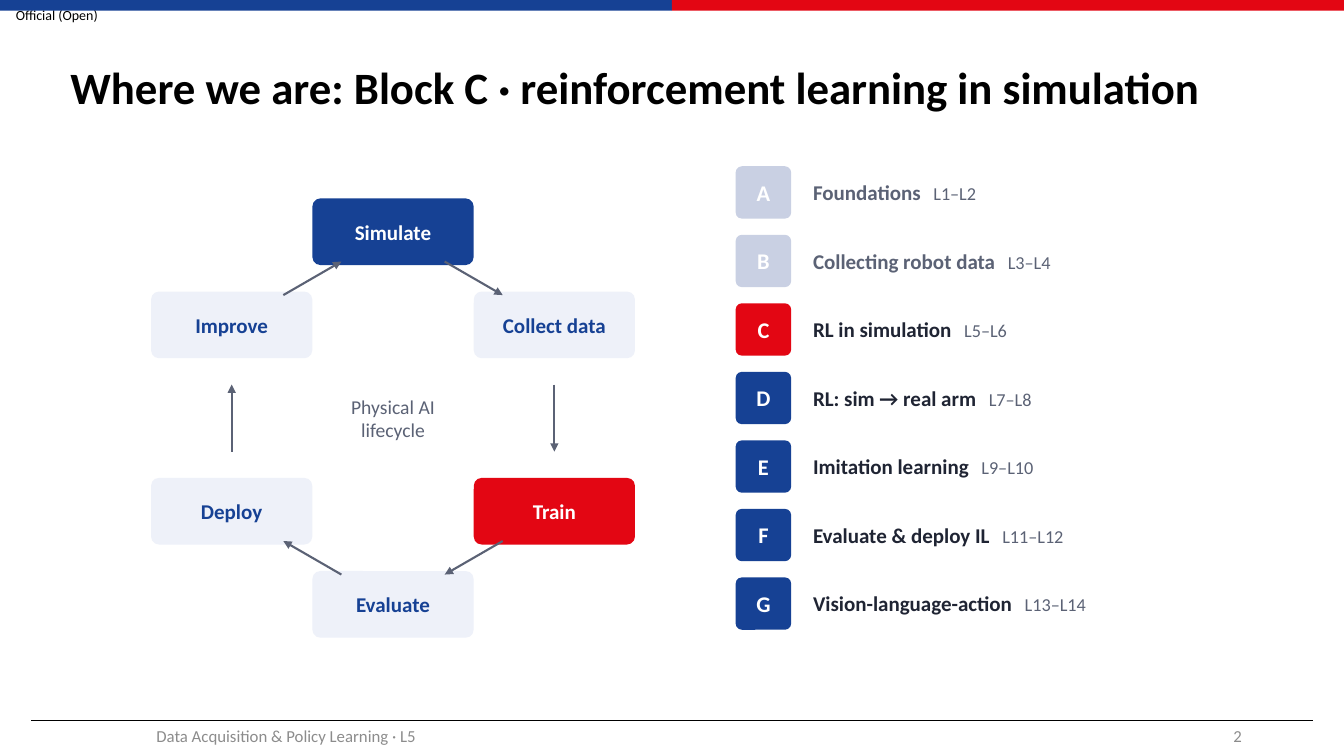
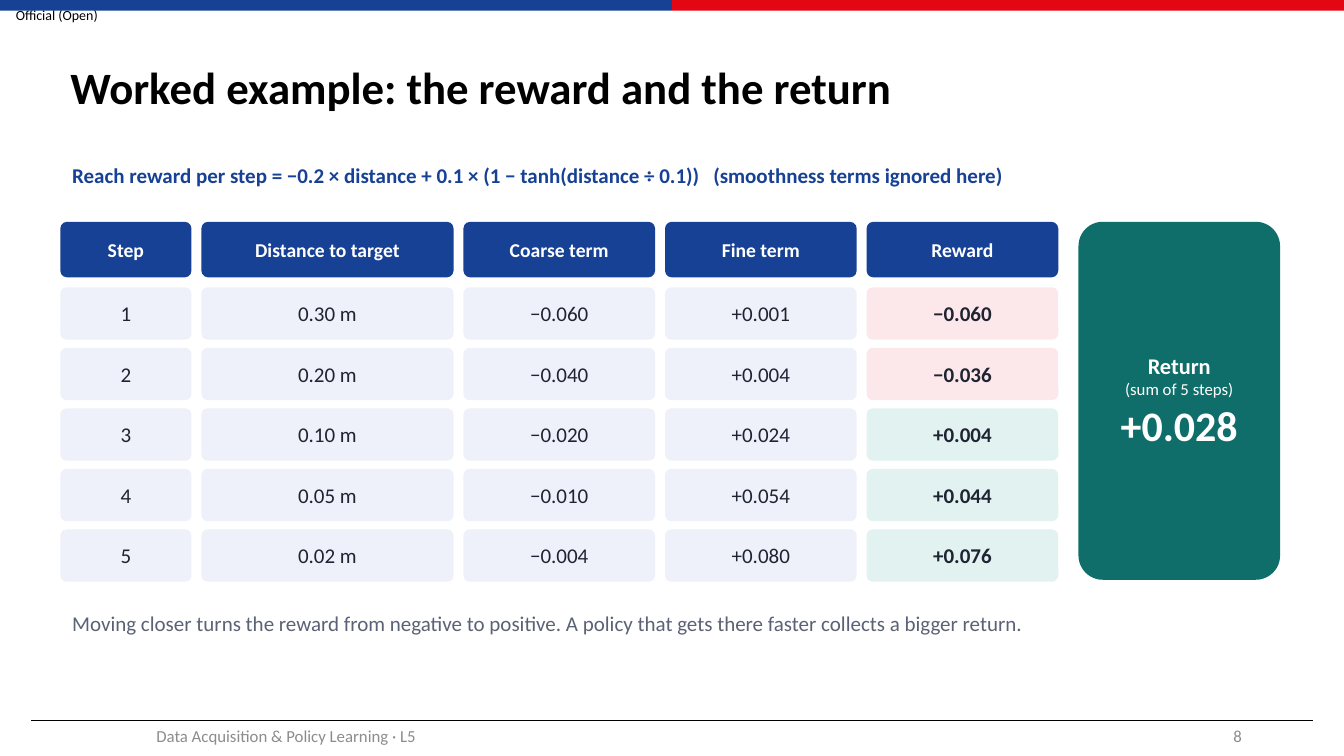
from itertools import accumulate
from math import cos, radians, sin

from lxml.etree import SubElement
from pptx import Presentation
from pptx.dml.color import RGBColor as RGB
from pptx.enum.shapes import MSO_CONNECTOR as LINE, MSO_SHAPE as SHAPE
from pptx.enum.text import MSO_ANCHOR as ANCHOR, MSO_AUTO_SIZE as AUTO, PP_ALIGN as ALIGN
from pptx.oxml.ns import qn
from pptx.util import Cm, Pt

FONT = "Calibri"
W, H = 33.87, 19.05
C = {
    "blue": "164194", "red": "E30613", "teal": "0F6E6A",
    "pale": "EEF1F9", "faded": "C9D0E3", "pink": "FCE8EA", "mint": "E2F2F1",
    "ink": "1F2433", "slate": "5B6275", "grey": "8C8C8C",
    "black": "000000", "white": "FFFFFF",
}


def rgb(name):
    """Return the palette colour as an RGB value."""
    return RGB.from_string(C[name])


def style(p, size, color, bold=False, align=ALIGN.LEFT):
    """Format a paragraph and all its runs."""
    p.alignment = align
    for r in p.runs:
        r.font.name, r.font.size, r.font.bold = FONT, Pt(size), bold
        r.font.color.rgb = rgb(color)


def append(p, text, size, color, bold=False):
    """Add a run after a widened space."""
    for part, spacing in ((" ", 600), (text, 0)):
        r = p.add_run()
        r.text = part
        r.font.name, r.font.size, r.font.bold = FONT, Pt(size), bold
        r.font.color.rgb = rgb(color)
        if spacing:
            r.font._element.set("spc", str(spacing))


def write(sp, text, size, color, bold=False, align=ALIGN.CENTER, anchor=ANCHOR.MIDDLE):
    """Fill a shape with uniformly formatted text."""
    tf = sp.text_frame
    tf.word_wrap, tf.vertical_anchor = True, anchor
    tf.margin_left = tf.margin_right = Cm(0.3)
    tf.margin_top = tf.margin_bottom = Cm(0.15)
    tf.text = text
    for p in tf.paragraphs:
        style(p, size, color, bold, align)
    return tf


def label(s, x, y, w, h, text, size, color, **kw):
    """Place a text box and return its text frame."""
    return write(s.shapes.add_textbox(Cm(x), Cm(y), Cm(w), Cm(h)), text, size, color, **kw)


def block(s, kind, x, y, w, h, fill):
    """Place a flat filled shape without outline."""
    sp = s.shapes.add_shape(kind, Cm(x), Cm(y), Cm(w), Cm(h))
    sp.shadow.inherit = False
    sp.fill.solid()
    sp.fill.fore_color.rgb = rgb(fill)
    sp.line.fill.background()
    return sp


def card(s, x, y, w, h, fill, text, size, color="white", bold=True):
    """Place a rounded card with centred text."""
    sp = block(s, SHAPE.ROUNDED_RECTANGLE, x, y, w, h, fill)
    sp.adjustments[0] = 0.12
    return write(sp, text, size, color, bold)


def line(s, x1, y1, x2, y2, color, width, arrow=False):
    """Draw a straight line, optionally ending in an arrowhead."""
    cn = s.shapes.add_connector(LINE.STRAIGHT, Cm(x1), Cm(y1), Cm(x2), Cm(y2))
    cn.line.color.rgb, cn.line.width = rgb(color), Pt(width)
    if arrow:
        SubElement(cn.line._get_or_add_ln(), qn("a:tailEnd"), type="triangle")
    SubElement(cn._element.spPr, qn("a:effectLst"))


def new_slide(prs, title, number):
    """Add a slide with the shared bands, title and footer."""
    s = prs.slides.add_slide(prs.slide_layouts[5])
    tf = label(s, 0, 0, 2.87, 0.74, "Official (Open)", 10, "black", align=ALIGN.LEFT)
    tf.margin_left, tf.margin_right = Cm(0.4), 0
    tf.margin_top = tf.margin_bottom = 0
    for i, fill in enumerate(("blue", "red")):
        block(s, SHAPE.RECTANGLE, i * W / 2, 0, W / 2, 0.27, fill)
    line(s, 0.79, 18.14, 33.1, 18.14, "black", 0.5)
    sp = s.shapes.title
    sp.left, sp.top, sp.width, sp.height = Cm(1.52), Cm(0.76), Cm(30.68), Cm(3)
    tf = sp.text_frame
    tf.text = title
    tf.auto_size, tf.vertical_anchor = AUTO.NONE, ANCHOR.MIDDLE
    style(tf.paragraphs[0], 32, "black", True)
    tf.paragraphs[0].line_spacing = 0.9
    label(s, 1.5, 18.03, 11.43, 1.02, "Data Acquisition & Policy Learning · L5", 12, "grey")
    label(s, 23.93, 18.03, 7.67, 1.02, str(number), 12, "grey", align=ALIGN.RIGHT)
    return s


def lifecycle(s, x, y, w, h, steps, centre):
    """Draw a hexagonal cycle of steps with arrows between them."""
    nw, nh = w / 3, 1.68
    cx, cy, radius = x + w / 2, y + h / 2, (h - nh) / 2
    angles = [radians(60 * i - 90) for i in range(len(steps))]
    points = [(cx + radius * cos(a), cy + radius * sin(a)) for a in angles]
    for (px, py), (text, fill) in zip(points, steps):
        color = "blue" if fill == "pale" else "white"
        card(s, px - nw / 2, py - nh / 2, nw, nh, fill, text, 15, color)
    for (ax, ay), (bx, by) in zip(points, points[1:] + points[:1]):
        dx, dy = bx - ax, by - ay
        line(s, ax + 0.32 * dx, ay + 0.32 * dy, ax + 0.68 * dx, ay + 0.68 * dy, "slate", 1.5, True)
    label(s, cx - 2.8, cy - 0.89, 5.6, 1.78, centre, 14, "slate")


def course_blocks(s, x, y, w, h, rows):
    """List the course blocks with lettered chips."""
    chip_w, chip_h, text_h = 1.4, 1.32, 1.42
    pitch = (h - chip_h) / (len(rows) - 1)
    for i, (name, lectures, fill) in enumerate(rows):
        top = y + i * pitch
        card(s, x, top, chip_w, chip_h, fill, "ABCDEFG"[i], 16)
        color = "slate" if fill == "faded" else "ink"
        tf = label(s, x + 1.65, top + (chip_h - text_h) / 2, w - 1.65, text_h,
                   name, 15, color, bold=True, align=ALIGN.LEFT)
        append(tf.paragraphs[0], lectures, 13, "slate")


def reward_grid(s, x, y, w, h, heads, rows):
    """Lay out the reward steps as a grid of cards."""
    shares, gap, head_h, row_h = (1.3, 2.5, 1.9, 1.9, 1.9), 0.25, 1.4, 1.32
    unit = (w - gap * (len(shares) - 1)) / sum(shares)
    widths = [share * unit for share in shares]
    lefts = accumulate([x] + [width + gap for width in widths[:-1]])
    pitch = (h - head_h - gap - row_h) / (len(rows) - 1)
    for col, (left, width) in enumerate(zip(lefts, widths)):
        card(s, left, y, width, head_h, "blue", heads[col], 14)
        for i, row in enumerate(rows):
            last = col == len(heads) - 1
            fill = ("pink" if row[col].startswith("−") else "mint") if last else "pale"
            card(s, left, y + head_h + gap + i * pitch, width, row_h, fill, row[col], 15, "ink", last)


def return_card(s, x, y, w, h):
    """Show the summed return in a tall card."""
    tf = card(s, x, y, w, h, "teal", "Return\n(sum of 5 steps)\n+0.028", 16)
    style(tf.paragraphs[1], 12, "white", False, ALIGN.CENTER)
    style(tf.paragraphs[2], 30, "white", True, ALIGN.CENTER)


def overview_slide(prs):
    """Build the slide that locates the current block."""
    s = new_slide(prs, "Where we are: Block C · reinforcement learning in simulation", 2)
    lifecycle(s, 3.81, 5, 12.19, 11.07, [
        ("Simulate", "blue"), ("Collect data", "pale"), ("Train", "red"),
        ("Evaluate", "pale"), ("Deploy", "pale"), ("Improve", "pale"),
    ], "Physical AI\nlifecycle")
    course_blocks(s, 18.54, 4.19, 13.33, 11.68, [
        ("Foundations", "L1–L2", "faded"),
        ("Collecting robot data", "L3–L4", "faded"),
        ("RL in simulation", "L5–L6", "red"),
        ("RL: sim → real arm", "L7–L8", "blue"),
        ("Imitation learning", "L9–L10", "blue"),
        ("Evaluate & deploy IL", "L11–L12", "blue"),
        ("Vision-language-action", "L13–L14", "blue"),
    ])


def reward_slide(prs):
    """Build the worked reward example."""
    s = new_slide(prs, "Worked example: the reward and the return", 8)
    tf = label(s, 1.52, 3.94, 30.73, 1.27,
               "Reach reward per step = −0.2 × distance + 0.1 × (1 − tanh(distance ÷ 0.1))",
               15, "blue", bold=True, align=ALIGN.LEFT, anchor=ANCHOR.TOP)
    append(tf.paragraphs[0], "(smoothness terms ignored here)", 15, "blue", True)
    reward_grid(s, 1.52, 5.59, 25.15, 9.07,
                ("Step", "Distance to target", "Coarse term", "Fine term", "Reward"), [
                    ("1", "0.30 m", "−0.060", "+0.001", "−0.060"),
                    ("2", "0.20 m", "−0.040", "+0.004", "−0.036"),
                    ("3", "0.10 m", "−0.020", "+0.024", "+0.004"),
                    ("4", "0.05 m", "−0.010", "+0.054", "+0.044"),
                    ("5", "0.02 m", "−0.004", "+0.080", "+0.076"),
                ])
    return_card(s, 27.18, 5.59, 5.08, 9.02)
    label(s, 1.52, 15.24, 30.73, 1.52,
          "Moving closer turns the reward from negative to positive. "
          "A policy that gets there faster collects a bigger return.",
          15, "slate", align=ALIGN.LEFT, anchor=ANCHOR.TOP)


def main():
    """Build and save the presentation."""
    prs = Presentation()
    prs.slide_width, prs.slide_height = Cm(W), Cm(H)
    overview_slide(prs)
    reward_slide(prs)
    prs.save("out.pptx")


if __name__ == "__main__":
    main()
